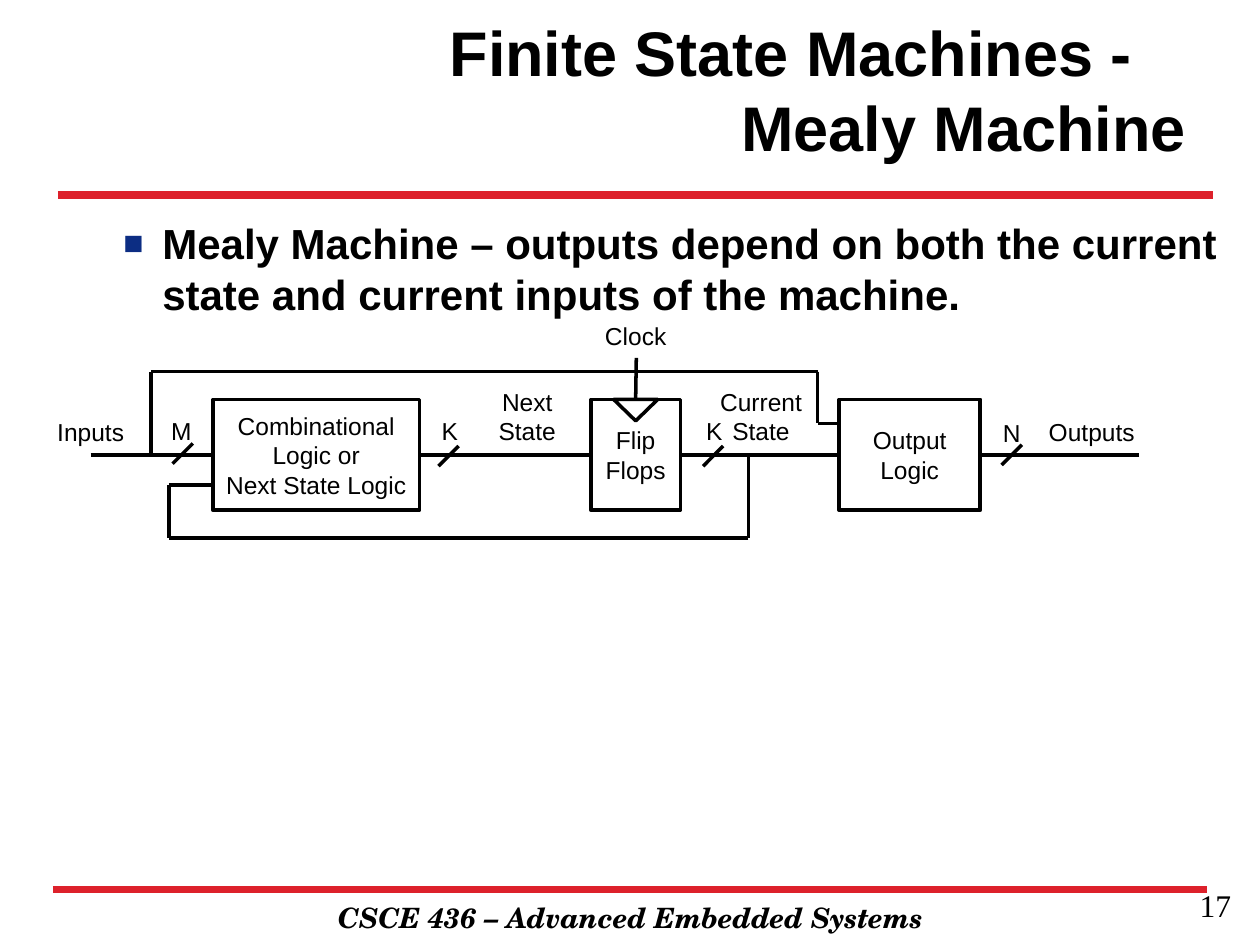
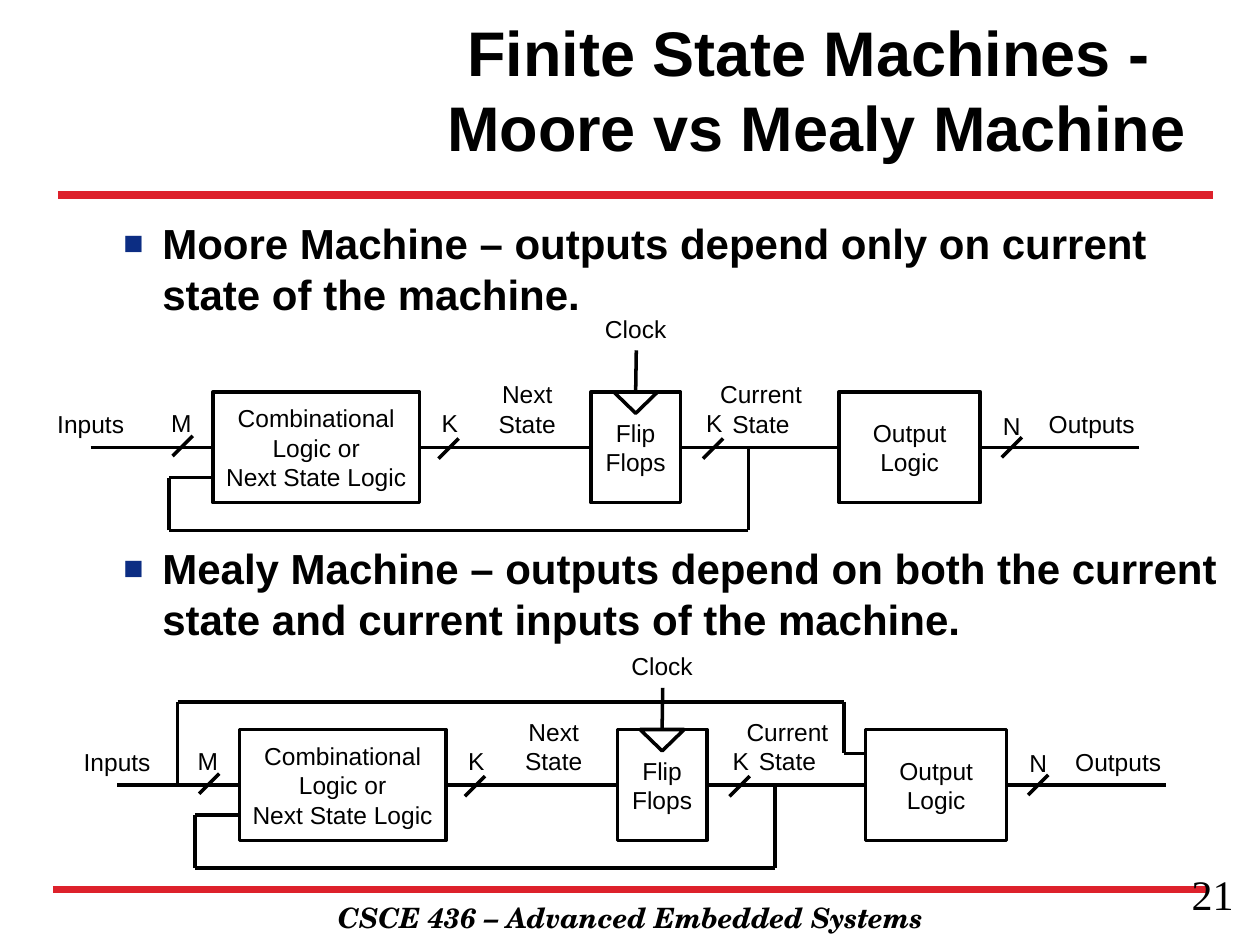
from itertools import pairwise

from lxml import etree
from pptx import Presentation
from pptx import util as u
from pptx.dml.color import RGBColor
from pptx.enum import shapes, text
from pptx.oxml import ns

COLORS = {"ink": "000000", "band": "DD212B", "bullet": "0C2D83"}

# Text styles
TITLE = {"name": "Arial", "size": u.Pt(36), "bold": True}
BODY = {"name": "Arial", "size": u.Pt(24), "bold": True}
LABEL = {"name": "Arial", "size": u.Pt(14)}
FOOTER = {"name": "TeX Gyre Schola", "size": u.Pt(16), "bold": True, "italic": True}

LEFT, CENTER, RIGHT = text.PP_ALIGN.LEFT, text.PP_ALIGN.CENTER, text.PP_ALIGN.RIGHT
MIDDLE = text.MSO_ANCHOR.MIDDLE
TIGHT = {"margin_left": 0, "margin_right": 0}
TOP_SIDE, LEFT_SIDE, RIGHT_SIDE = 0, 1, 3

# State machine, measured in inches from the top left of the next state logic
BOX_HEIGHT = 0.88
WIRE_Y = BOX_HEIGHT / 2
BLOCKS = [
    (0, 1.64, ["Combinational Logic or", "Next State Logic"]),
    (3, 0.71, ["Flip Flops"]),
    (4.97, 1.12, ["Output Logic"]),
]
CLOCK_X, CLOCK_TOP = 3.36, -0.33
INPUT_X, OUTPUT_X = -0.97, 7.35
SIGNALS = [
    (-1.4, 0.09, 0.86, ["Inputs"]),
    (6.49, 0.09, 0.97, ["Outputs"]),
    (3.91, -0.15, 0.88, ["Current", "State"]),
    (2.01, -0.15, 0.97, ["Next", "State"]),
    (2.95, -0.67, 0.81, ["Clock"]),
]
# Bus width: name, label left and top, centre of the slash
BUSES = [
    ("M", -0.4, 0.08, -0.24, 0.43),
    ("K", 1.73, 0.08, 1.87, 0.45),
    ("K", 3.83, 0.08, 3.97, 0.45),
    ("N", 6.19, 0.1, 6.34, 0.44),
]
FEEDBACK = [(4.25, WIRE_Y), (4.25, 1.1), (-0.35, 1.1), (-0.35, 0.68), (0, 0.68)]
BYPASS = [(-0.49, WIRE_Y), (-0.49, -0.22), (4.8, -0.22), (4.8, 0.19), (4.97, 0.19)]


def color(name):
    return RGBColor.from_string(COLORS[name])


def apply_format(target, values):
    for name, value in values.items():
        setattr(target, name, value)


def fill_text(shape, lines, style, align, frame_format=None):
    """Write one paragraph per line and return the paragraphs."""
    frame = shape.text_frame
    apply_format(frame, {"word_wrap": True, **(frame_format or {})})
    frame.text = "\n".join(lines)
    for para in frame.paragraphs:
        para.alignment = align
        for span in para.runs:
            apply_format(span.font, style)
            span.font.color.rgb = color("ink")
    return frame.paragraphs


def add_text(page, area, lines, style, align, frame_format=None):
    box = page.shapes.add_textbox(*map(u.Inches, area))
    return fill_text(box, lines, style, align, frame_format)


def add_line(page, start, end, ink="ink", width=2):
    line = page.shapes.add_connector(
        shapes.MSO_CONNECTOR.STRAIGHT, *map(u.Inches, (*start, *end)))
    line.line.color.rgb = color(ink)
    line.line.width = u.Pt(width)
    etree.SubElement(line._element.spPr, ns.qn("a:effectLst"))
    return line


def add_outline(page, kind, area):
    shape = page.shapes.add_shape(kind, *map(u.Inches, area))
    shape.shadow.inherit = False
    shape.fill.background()
    shape.line.color.rgb = color("ink")
    shape.line.width = u.Pt(2)
    return shape


def set_indent(para, margin, indent=0):
    properties = para._p.get_or_add_pPr()
    properties.set("marL", str(u.Inches(margin)))
    properties.set("indent", str(u.Inches(indent)))
    return properties


def add_bullet(para):
    properties = set_indent(para, 0.31, -0.31)
    tint = etree.SubElement(properties, ns.qn("a:buClr"))
    etree.SubElement(tint, ns.qn("a:srgbClr"), val=COLORS["bullet"])
    etree.SubElement(properties, ns.qn("a:buSzPct"), val="80000")
    etree.SubElement(properties, ns.qn("a:buFont"), typeface="Arial")
    etree.SubElement(properties, ns.qn("a:buChar"), char="■")


def add_page(deck, title, title_indent, bullets, bullet_gap=0):
    page = deck.slides.add_slide(deck.slide_layouts[6])
    # Bands and footer
    add_text(page, (1.42, 7.1, 7.17, 0.37),
             ["CSCE 436 – Advanced Embedded Systems"], FOOTER, CENTER)
    add_line(page, (0.42, 7.06), (9.58, 7.06), "band", 4.5)
    add_line(page, (0.46, 1.55), (9.63, 1.55), "band", 4.5)
    # Title, whose first line is indented from the left
    first, _ = add_text(page, (2.09, 0.08, 7.42, 1.25), title, TITLE, RIGHT,
                        {"vertical_anchor": MIDDLE})
    first.alignment = LEFT
    set_indent(first, title_indent)
    # Bullets, with room between them for a diagram
    paras = add_text(page, (0.88, 1.68, 8.89, 4.73), bullets, BODY, LEFT)
    for para in paras:
        add_bullet(para)
    for para in paras[1:]:
        para.space_before = u.Pt(bullet_gap)
    return page


def add_page_number(page, number, left, top, size):
    style = {"name": "Times New Roman", "size": u.Pt(size)}
    add_text(page, (left, top, 2.33, 0.52), [number], style, RIGHT)


def draw_machine(page, left, top, mealy):
    def place(x, y):
        return left + x, top + y

    # Logic blocks and the clock input mark
    blocks = []
    for x, width, lines in BLOCKS:
        block = add_outline(page, shapes.MSO_SHAPE.RECTANGLE,
                            (*place(x, 0), width, BOX_HEIGHT))
        fill_text(block, lines, LABEL, CENTER,
                  {"vertical_anchor": MIDDLE, "margin_left": u.Inches(0.08),
                   "margin_right": u.Inches(0.08)})
        blocks.append(block)
    mark = add_outline(page, shapes.MSO_SHAPE.ISOSCELES_TRIANGLE,
                       (*place(3.18, 0), 0.35, 0.17))
    mark.rotation = 180

    # Main wires, each joined to the blocks it meets
    logic, flip_flops, output = blocks
    start, end = place(INPUT_X, WIRE_Y), place(OUTPUT_X, WIRE_Y)
    add_line(page, start, end).end_connect(logic, LEFT_SIDE)
    add_line(page, end, start).end_connect(output, RIGHT_SIDE)
    for source, target in pairwise(blocks):
        wire = add_line(page, start, end)
        wire.begin_connect(source, RIGHT_SIDE)
        wire.end_connect(target, LEFT_SIDE)
    clock = add_line(page, place(CLOCK_X, CLOCK_TOP), place(CLOCK_X, 0))
    clock.end_connect(flip_flops, TOP_SIDE)

    # Feedback of the state, and the input bypass of a Mealy machine
    for route in [FEEDBACK, BYPASS] if mealy else [FEEDBACK]:
        for here, there in pairwise(route):
            add_line(page, place(*here), place(*there))

    # Signal names and bus widths
    for x, y, width, lines in SIGNALS:
        height = 0.34 if len(lines) == 1 else 0.57
        add_text(page, (*place(x, y), width, height), lines, LABEL, CENTER, TIGHT)
    for name, x, y, slash_x, slash_y in BUSES:
        add_line(page, place(slash_x + 0.08, slash_y - 0.08),
                 place(slash_x - 0.08, slash_y + 0.08))
        add_text(page, (*place(x, y), 0.3, 0.34), [name], LABEL, CENTER, TIGHT)


def main():
    deck = Presentation()
    deck.slide_width, deck.slide_height = u.Inches(10), u.Inches(7.5)
    moore = "Moore Machine – outputs depend only on current state of the machine."
    mealy = ("Mealy Machine – outputs depend on both the current state "
             "and current inputs of the machine.")
    heading = "Finite State Machines -"

    # Mealy machine
    page = add_page(deck, [heading, "Mealy Machine"], 1.38, [mealy])
    add_page_number(page, "17", 7.54, 6.98, 18)
    draw_machine(page, 1.69, 3.17, mealy=True)

    # Moore and Mealy machines compared
    page = add_page(deck, [heading, "Moore vs Mealy Machine"], 1.52,
                    [moore, mealy], bullet_gap=128)
    add_page_number(page, "21", 7.56, 6.84, 24)
    draw_machine(page, 1.69, 3.11, mealy=False)
    draw_machine(page, 1.9, 5.79, mealy=True)

    deck.save("out.pptx")


if __name__ == "__main__":
    main()
